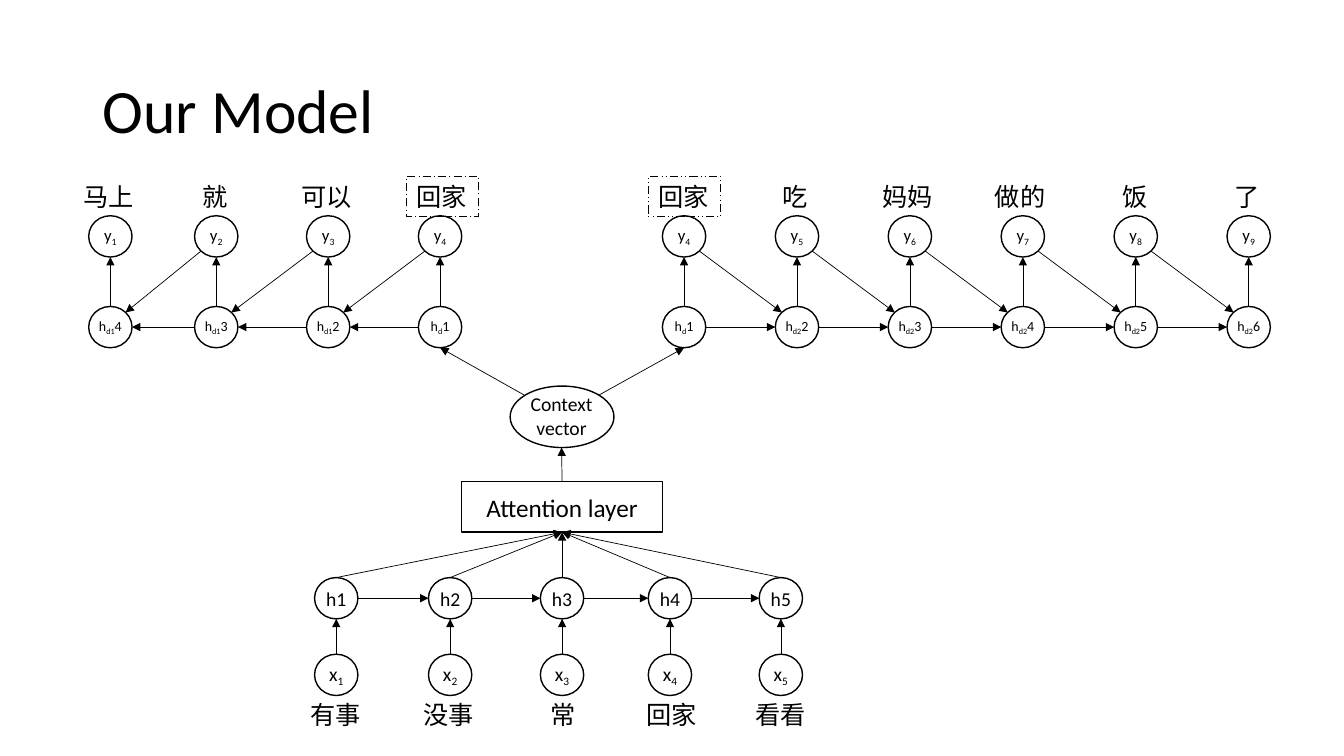
from dataclasses import dataclass
from typing import Optional

from lxml.etree import SubElement
from pptx import Presentation
from pptx.dml.color import RGBColor
from pptx.enum.dml import MSO_LINE
from pptx.enum.shapes import MSO_CONNECTOR, MSO_SHAPE
from pptx.enum.text import MSO_ANCHOR, PP_ALIGN
from pptx.oxml.ns import qn
from pptx.util import Inches, Pt


@dataclass(frozen=True)
class Theme:
    font: str = "Calibri"
    ink: RGBColor = RGBColor(0, 0, 0)
    title: float = 44
    word: float = 18
    layer: float = 18
    encoder: float = 14
    output: float = 12
    state: float = 10
    outline: float = 1
    dashed: float = 0.75
    arrow: float = 0.5


@dataclass(frozen=True)
class Step:
    """One time step: its circles' left edge, labels and word."""
    left: float
    state: str
    token: str
    word: str
    word_left: float
    dash: Optional[MSO_LINE] = None

    @property
    def center(self) -> float:
        return self.left + NODE_W / 2


THEME = Theme()
NODE_W, NODE_H = 0.43, 0.41
OUTPUT_TOP, DECODER_TOP = 2.14, 3.04
ENCODER_TOP, INPUT_TOP = 5.73, 6.49
OUTPUT_WORD_TOP, INPUT_WORD_TOP = 1.75, 6.89
MIDDLE = 5.57

# Subscripts sit between underscores
ENCODER = [
    Step(left, f"h{i}", f"x_{i}", word, word_left)
    for i, (left, word, word_left) in enumerate([
        (3.12, "有事", 2.98), (4.25, "没事", 4.1), (5.36, "常", 5.36),
        (6.43, "回家", 6.31), (7.53, "看看", 7.39)], start=1)
]
BACKWARD = [
    Step(4.15, "h_d_1", "y_4", "回家", 4.03, MSO_LINE.LONG_DASH_DOT),
    Step(3.04, "h_d1_2", "y_3", "可以", 2.89),
    Step(1.93, "h_d1_3", "y_2", "就", 1.91),
    Step(0.88, "h_d1_4", "y_1", "马上", 0.73),
]
FORWARD = [Step(6.57, "h_d_1", "y_4", "回家", 6.43, MSO_LINE.DASH_DOT_DOT)] + [
    Step(6.57 + 1.12 * (i - 1), f"h_d2_{i}", f"y_{i + 3}", word, word_left)
    for i, (word, word_left) in enumerate([
        ("吃", 7.66), ("妈妈", 8.65), ("做的", 9.77),
        ("饭", 11.03), ("了", 12.15)], start=2)
]

deck = Presentation()
deck.slide_width, deck.slide_height = Inches(13.33), Inches(7.5)
slide = deck.slides.add_slide(deck.slide_layouts[5])


def write(target, text: str, size: float, align=PP_ALIGN.CENTER, inset: float = 0) -> None:
    frame = target.text_frame
    frame_format = {
        "word_wrap": True, "vertical_anchor": MSO_ANCHOR.MIDDLE,
        "margin_left": Inches(inset), "margin_right": 0,
        "margin_top": 0, "margin_bottom": 0,
    }
    for attribute, value in frame_format.items():
        setattr(frame, attribute, value)
    paragraph = frame.paragraphs[0]
    paragraph.alignment = align
    for position, piece in enumerate(text.split("_")):
        run = paragraph.add_run()
        run.text = piece
        for attribute, value in {"name": THEME.font, "size": Pt(size), "bold": False}.items():
            setattr(run.font, attribute, value)
        run.font.color.rgb = THEME.ink
        if position % 2:
            run.font._element.set("baseline", "-25000")


def add_label(left: float, top: float, width: float, height: float,
              text: str, size: float, align=PP_ALIGN.CENTER, inset: float = 0):
    label = slide.shapes.add_textbox(Inches(left), Inches(top), Inches(width), Inches(height))
    write(label, text, size, align, inset)
    return label


def add_outline(kind: MSO_SHAPE, left: float, top: float, width: float, height: float):
    outline = slide.shapes.add_shape(
        kind, Inches(left), Inches(top), Inches(width), Inches(height))
    outline.shadow.inherit = False
    outline.fill.background()
    outline.line.color.rgb = THEME.ink
    outline.line.width = Pt(THEME.outline)
    return outline


def add_node(left: float, top: float, text: str, size: float, label_h: float,
             label_w: float = NODE_W):
    node = add_outline(MSO_SHAPE.OVAL, left, top, NODE_W, NODE_H)
    add_label(left + (NODE_W - label_w) / 2, top + (NODE_H - label_h) / 2,
              label_w, label_h, text, size)
    return node


def add_word(step: Step, top: float) -> None:
    word = add_label(step.word_left, top, 0.12 + 0.3 * len(step.word), 0.4,
                     step.word, THEME.word, PP_ALIGN.LEFT, inset=0.1)
    if step.dash is not None:
        word.line.color.rgb = THEME.ink
        word.line.width = Pt(THEME.dashed)
        word.line.dash_style = step.dash


def add_arrow(x1: float, y1: float, x2: float, y2: float):
    arrow = slide.shapes.add_connector(
        MSO_CONNECTOR.STRAIGHT, Inches(x1), Inches(y1), Inches(x2), Inches(y2))
    arrow.line.color.rgb = THEME.ink
    arrow.line.width = Pt(THEME.arrow)
    properties = arrow._element.spPr
    SubElement(properties.find(qn("a:ln")), qn("a:tailEnd"), type="triangle")
    SubElement(properties, qn("a:effectLst"))
    return arrow


def add_chain(steps: list[Step], top: float, direction: int) -> None:
    """Arrows from each state to the next one."""
    for step, following in zip(steps, steps[1:]):
        reach = direction * NODE_W / 2
        add_arrow(step.center + reach, top + NODE_H / 2,
                  following.center - reach, top + NODE_H / 2)


def add_decoder(steps: list[Step], direction: int) -> None:
    for step in steps:
        state = add_node(step.left, DECODER_TOP, step.state, THEME.state, 0.27, label_w=0.5)
        add_node(step.left, OUTPUT_TOP, step.token, THEME.output, 0.3)
        add_arrow(step.center, DECODER_TOP, step.center,
                  OUTPUT_TOP + NODE_H).begin_connect(state, 0)
        add_word(step, OUTPUT_WORD_TOP)
    add_chain(steps, DECODER_TOP, direction)
    # Each output feeds the next state
    for step, following in zip(steps, steps[1:]):
        add_arrow(step.center + direction * 0.15, 2.49,
                  following.center - direction * 0.15, 3.1)
    # The context vector starts the decoder
    add_arrow(MIDDLE + direction * 0.37, 3.92, steps[0].center, DECODER_TOP + NODE_H)


# Title
title = slide.shapes.title
for attribute, value in {"left": 0.92, "top": 0.4, "width": 11.5, "height": 1.45}.items():
    setattr(title, attribute, Inches(value))
write(title, "Our Model", THEME.title, PP_ALIGN.LEFT, inset=0.1)
title.text_frame.paragraphs[0].line_spacing = 0.9

# Attention layer and context vector
attention = add_outline(MSO_SHAPE.RECTANGLE, 4.58, 4.78, 1.99, 0.5)
write(attention, "Attention layer", THEME.layer)
add_outline(MSO_SHAPE.OVAL, 5.06, 3.83, 1.03, 0.61)
add_label(5.17, 3.84, 0.8, 0.57, "Context vector", THEME.encoder)
add_arrow(MIDDLE, 4.78, MIDDLE, 4.44).begin_connect(attention, 0)

# Encoder
for step in ENCODER:
    hidden = add_node(step.left, ENCODER_TOP, step.state, THEME.encoder, 0.34)
    source = add_node(step.left, INPUT_TOP, step.token, THEME.encoder, 0.34)
    add_arrow(step.center, INPUT_TOP, step.center,
              ENCODER_TOP + NODE_H).begin_connect(source, 0)
    summary = add_arrow(step.center, ENCODER_TOP, MIDDLE, 5.28)
    summary.begin_connect(hidden, 0)
    summary.end_connect(attention, 2)
    add_word(step, INPUT_WORD_TOP)
add_chain(ENCODER, ENCODER_TOP, direction=1)

# Decoders
add_decoder(BACKWARD, direction=-1)
add_decoder(FORWARD, direction=1)

deck.save("out.pptx")
